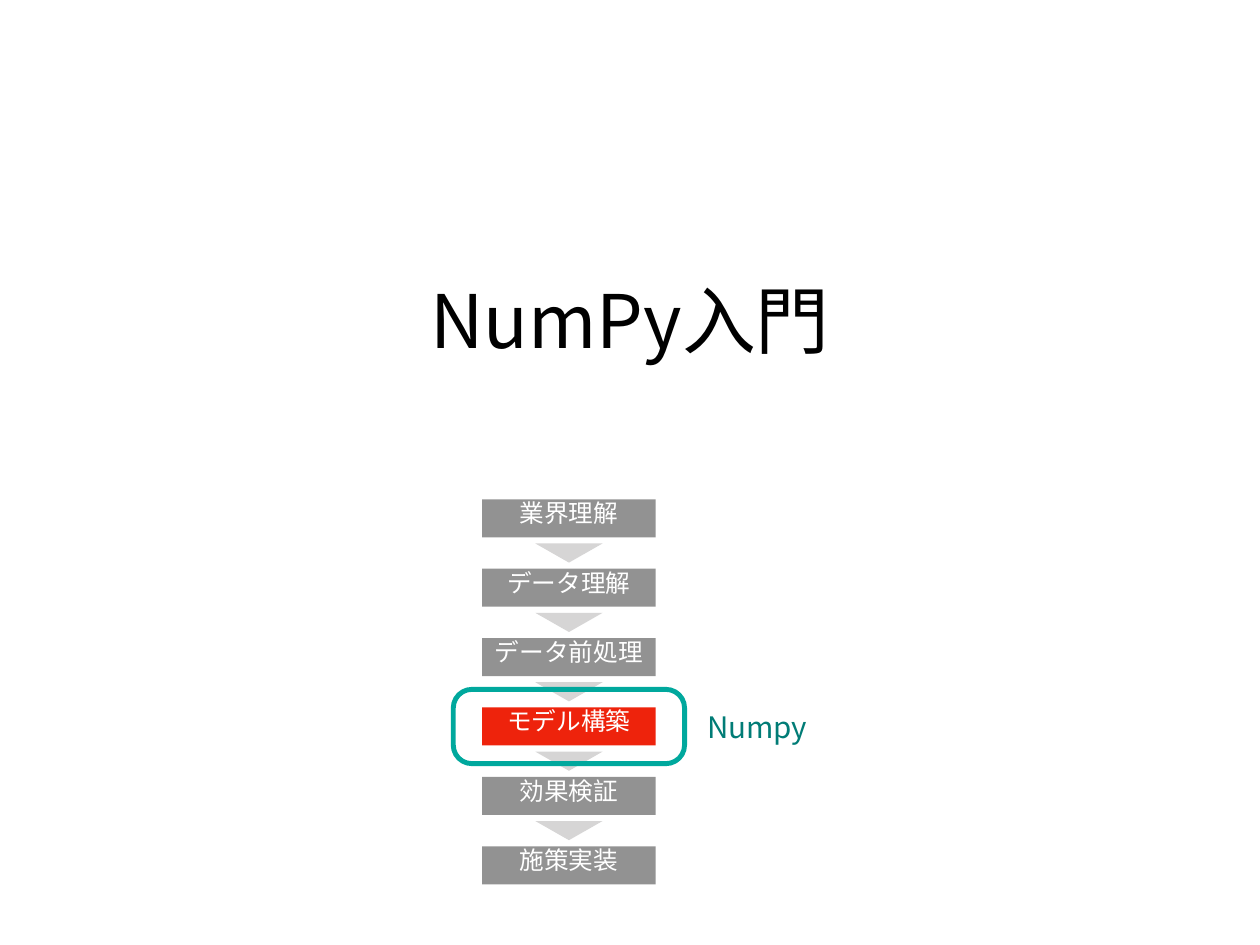
"""Build the NumPy introduction slide with its six-step process flow."""
import pptx
import pptx.dml.color
import pptx.enum.shapes
import pptx.enum.text
import pptx.oxml
import pptx.oxml.ns
import pptx.util

Cm = pptx.util.Cm
SHAPES = pptx.enum.shapes.MSO_SHAPE
ALIGN = pptx.enum.text.PP_ALIGN

TITLE = "NumPy入門"
STEPS = ["業界理解", "データ理解", "データ前処理", "モデル構築", "効果検証", "施策実装"]
CURRENT_STEP = "モデル構築"
TOOL = "Numpy"

FONT = "Noto Sans CJK JP"
COLORS = {
    "title": "000000",
    "tool": "017C76",
    "step": "929292",
    "current": "EE230C",
    "step_text": "FFFFFF",
    "arrow": "D6D5D5",
    "frame": "00A89D",
}

STEP_LEFT, STEP_TOP, STEP_WIDTH, STEP_HEIGHT = 13.82, 14.32, 4.98, 1.09
STEP_PITCH = 1.99
ARROW_LENGTH, ARROW_SPAN = 0.55, 1.93
FRAME_WIDTH, FRAME_HEIGHT = 6.63, 2.13
INSET = 0.15


def rgb(name):
    return pptx.dml.color.RGBColor.from_string(COLORS[name])


def write(shape, text, size, color, align, line_spacing=1.0):
    frame = shape.text_frame
    frame.word_wrap = True
    frame.auto_size = pptx.enum.text.MSO_AUTO_SIZE.NONE
    frame.vertical_anchor = pptx.enum.text.MSO_ANCHOR.MIDDLE
    frame.margin_left = frame.margin_right = Cm(INSET)
    frame.margin_top = frame.margin_bottom = Cm(INSET)
    paragraph = frame.paragraphs[0]
    paragraph.alignment = align
    paragraph.line_spacing = line_spacing
    paragraph.space_before = pptx.util.Pt(0)
    run = paragraph.add_run()
    run.text = text
    run.font.size = pptx.util.Pt(size)
    run.font.name = FONT
    run.font.color.rgb = rgb(color)
    east_asian = pptx.oxml.parse_xml(
        f'<a:ea {pptx.oxml.ns.nsdecls("a")} typeface="{FONT}"/>')
    run.font._element.append(east_asian)


def add_filled(slide, kind, left, top, width, height, color):
    shape = slide.shapes.add_shape(kind, Cm(left), Cm(top), Cm(width), Cm(height))
    shape.shadow.inherit = False
    shape.fill.solid()
    shape.fill.fore_color.rgb = rgb(color)
    shape.line.fill.background()
    return shape


def add_arrow(slide, center_x, center_y):
    arrow = add_filled(slide, SHAPES.RIGHT_ARROW, center_x - ARROW_LENGTH / 2,
                       center_y - ARROW_SPAN / 2, ARROW_LENGTH, ARROW_SPAN, "arrow")
    arrow.rotation = 90
    arrow.adjustments[0] = 0.33
    arrow.adjustments[1] = 2.42


def add_frame(slide, center_x, center_y):
    frame = slide.shapes.add_shape(
        SHAPES.ROUNDED_RECTANGLE, Cm(center_x - FRAME_WIDTH / 2),
        Cm(center_y - FRAME_HEIGHT / 2), Cm(FRAME_WIDTH), Cm(FRAME_HEIGHT))
    frame.shadow.inherit = False
    frame.adjustments[0] = 0.25
    frame.fill.background()
    frame.line.color.rgb = rgb("frame")
    frame.line.width = pptx.util.Pt(4)


def main():
    presentation = pptx.Presentation()
    presentation.slide_width, presentation.slide_height = Cm(36.12), Cm(27.1)
    slide = presentation.slides.add_slide(presentation.slide_layouts[0])
    subtitle = slide.placeholders[1]
    subtitle.element.getparent().remove(subtitle.element)

    title = slide.shapes.title
    title.left, title.top = Cm(3.53), Cm(4.55)
    title.width, title.height = Cm(29.06), Cm(9.17)
    write(title, TITLE, 60, "title", ALIGN.CENTER)

    label = slide.shapes.add_textbox(Cm(20.12), Cm(20.27), Cm(3.58), Cm(1.12))
    write(label, TOOL, 24, "tool", ALIGN.LEFT)

    center_x = STEP_LEFT + STEP_WIDTH / 2
    for index, step in enumerate(STEPS):
        top = STEP_TOP + index * STEP_PITCH
        color = "current" if step == CURRENT_STEP else "step"
        box = add_filled(slide, SHAPES.RECTANGLE, STEP_LEFT, top,
                         STEP_WIDTH, STEP_HEIGHT, color)
        write(box, step, 20, "step_text", ALIGN.CENTER, 0.5)
        if index < len(STEPS) - 1:
            add_arrow(slide, center_x, top + (STEP_HEIGHT + STEP_PITCH) / 2)

    current_top = STEP_TOP + STEPS.index(CURRENT_STEP) * STEP_PITCH
    add_frame(slide, center_x, current_top + STEP_HEIGHT / 2)
    presentation.save("out.pptx")


if __name__ == "__main__":
    main()
